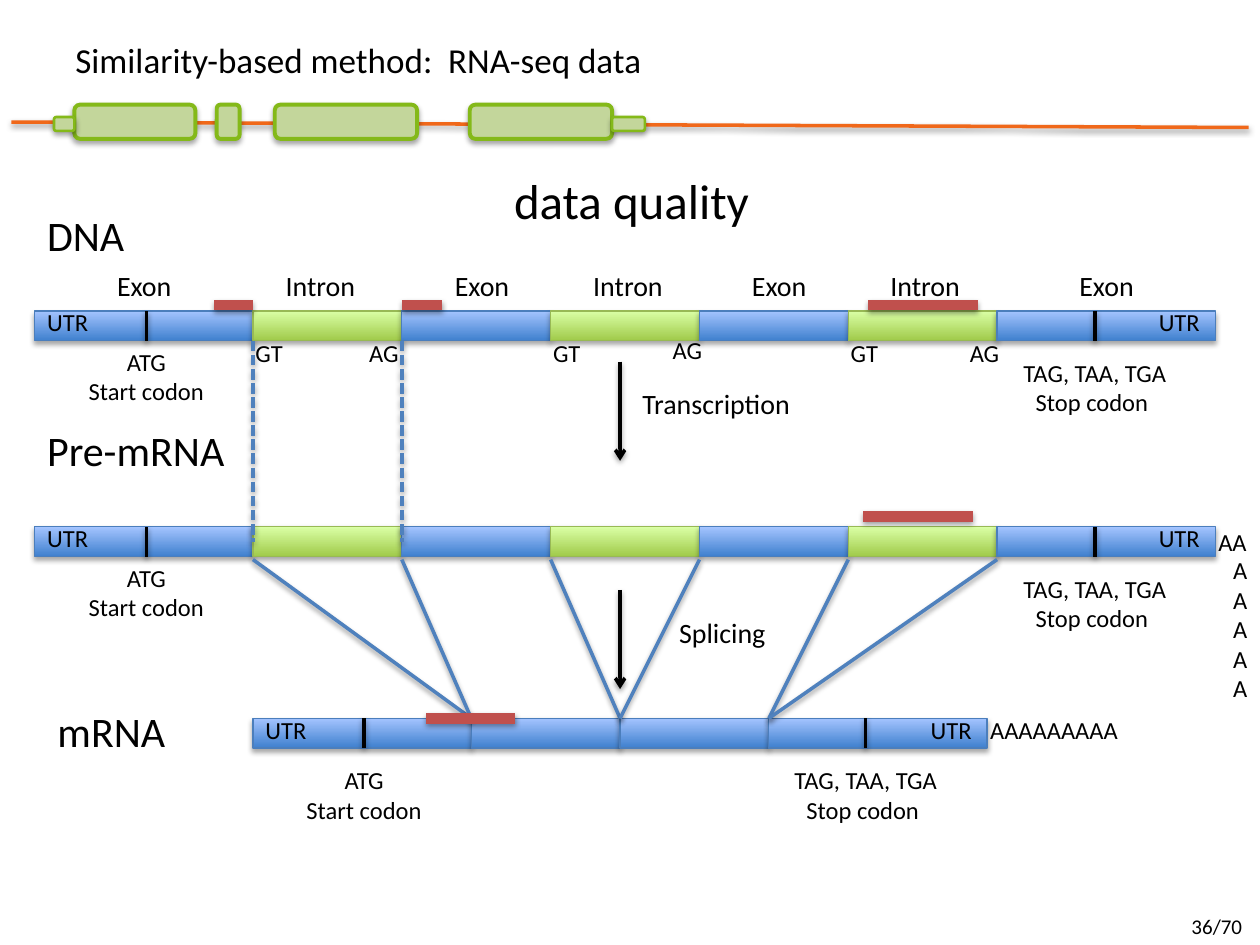
from dataclasses import dataclass
from typing import Optional

import pptx
import pptx.dml.color
import pptx.enum.dml
import pptx.enum.shapes
import pptx.enum.text
import pptx.oxml
import pptx.oxml.ns
import pptx.util
from pptx.util import Cm

FONT = "Calibri"
BLACK, SPLICE_BLUE, READ_RED = "000000", "4F81BD", "C0504D"
BAR_HEIGHT = 0.6
BOUNDARIES = [0.7, 5.1, 8.1, 11.1, 14.1, 17.1, 20.1, 24.5]
JOINTS = [5.1, 9.5, 12.5, 15.5, 19.9]
DNA_TOP, PRE_TOP, MRNA_TOP = 6.27, 10.62, 14.48


@dataclass(frozen=True)
class SegmentStyle:
    bottom: str
    top: str
    outline: str


EXON = SegmentStyle("3F80CE", "A4C4FF", "4B7EBC")
INTRON = SegmentStyle("A0CA4A", "DAFFA5", "98B955")


@dataclass(frozen=True)
class Strand:
    """A bar of segments; all positions are in centimetres."""
    top: float
    edges: list[float]
    styles: list[SegmentStyle]
    start: float
    stop: float
    start_gap: float


@dataclass(frozen=True)
class Label:
    text: str
    left: float
    top: float
    width: float
    size: int
    centred: bool = False
    wrap: bool = False


@dataclass(frozen=True)
class Line:
    x1: float
    y1: float
    x2: float
    y2: float
    color: str = BLACK
    width: float = 2
    dash: Optional[pptx.enum.dml.MSO_LINE] = None
    arrow: bool = False


@dataclass(frozen=True)
class GeneBox:
    left: float
    top: float
    width: float
    height: float
    outline: float


def rgb(color: str) -> pptx.dml.color.RGBColor:
    return pptx.dml.color.RGBColor.from_string(color)


def add_shadow(shape, distance: float = 1.8, opacity: int = 35) -> None:
    """Append a downward shadow; call it once the line is set."""
    shape.element.spPr.append(pptx.oxml.parse_xml(
        f'<a:effectLst {pptx.oxml.ns.nsdecls("a")}>'
        f'<a:outerShdw blurRad="{int(pptx.util.Pt(3.1))}" dist="{int(pptx.util.Pt(distance))}" '
        f'dir="5400000" rotWithShape="0"><a:srgbClr val="{BLACK}">'
        f'<a:alpha val="{opacity * 1000}"/></a:srgbClr></a:outerShdw></a:effectLst>'))


def draw_line(slide, line: Line) -> None:
    connector = slide.shapes.add_connector(
        pptx.enum.shapes.MSO_CONNECTOR.STRAIGHT,
        Cm(line.x1), Cm(line.y1), Cm(line.x2), Cm(line.y2))
    connector.line.color.rgb = rgb(line.color)
    connector.line.width = pptx.util.Pt(line.width)
    if line.dash:
        connector.line.dash_style = line.dash
    if line.arrow:
        outline = connector.element.spPr.find(pptx.oxml.ns.qn("a:ln"))
        outline.append(pptx.oxml.parse_xml(
            f'<a:tailEnd {pptx.oxml.ns.nsdecls("a")} type="arrow"/>'))
    add_shadow(connector, 1.6, 38)


def draw_label(slide, label: Label) -> None:
    lines = label.text.split("\n")
    height = 0.25 + 0.043 * label.size * len(lines)
    box = slide.shapes.add_textbox(Cm(label.left), Cm(label.top), Cm(label.width), Cm(height))
    box.text_frame.word_wrap = label.wrap
    box.text_frame.text = label.text
    font_format = {"name": FONT, "size": pptx.util.Pt(label.size)}
    for paragraph in box.text_frame.paragraphs:
        if label.centred:
            paragraph.alignment = pptx.enum.text.PP_ALIGN.CENTER
        for name, value in font_format.items():
            setattr(paragraph.font, name, value)
        paragraph.font.color.rgb = rgb(BLACK)


def draw_gene_box(slide, box: GeneBox) -> None:
    shape = slide.shapes.add_shape(
        pptx.enum.shapes.MSO_SHAPE.ROUNDED_RECTANGLE,
        Cm(box.left), Cm(box.top), Cm(box.width), Cm(box.height))
    shape.fill.solid()
    shape.fill.fore_color.rgb = rgb("C3D69B")
    shape.line.color.rgb = rgb("84B919")
    shape.line.width = pptx.util.Pt(box.outline)
    add_shadow(shape)


def draw_segment(slide, left: float, right: float, top: float, style: SegmentStyle) -> None:
    shape = slide.shapes.add_shape(
        pptx.enum.shapes.MSO_SHAPE.RECTANGLE,
        Cm(left), Cm(top), Cm(right - left), Cm(BAR_HEIGHT))
    shape.fill.gradient()
    shape.fill.gradient_angle = 90
    for stop, color, position in zip(shape.fill.gradient_stops, (style.bottom, style.top), (0, 1)):
        stop.color.rgb = rgb(color)
        stop.position = position
    shape.line.color.rgb = rgb(style.outline)
    shape.line.width = pptx.util.Pt(0.75)
    add_shadow(shape)


def draw_strand(slide, strand: Strand) -> None:
    """Draw the segments, the UTR labels and the codon marks of a strand."""
    for left, right, style in zip(strand.edges, strand.edges[1:], strand.styles):
        draw_segment(slide, left, right, strand.top, style)
    for left in (strand.edges[0], strand.edges[-1] - 1.39):
        draw_label(slide, Label("UTR", left, strand.top - 0.2, 1.35, 14))
    codons = [("ATG\nStart codon", strand.start, strand.start_gap, 2.87),
              ("TAG, TAA, TGA\nStop codon ", strand.stop, 0.82, 3.5)]
    for text, x, gap, width in codons:
        draw_line(slide, Line(x, strand.top, x, strand.top + BAR_HEIGHT))
        draw_label(slide, Label(text, x - width / 2, strand.top + gap, width, 14, centred=True))


def main() -> None:
    presentation = pptx.Presentation()
    presentation.slide_width, presentation.slide_height = Cm(25.4), Cm(19.05)
    slide = presentation.slides.add_slide(presentation.slide_layouts[6])

    draw_line(slide, Line(0.23, 2.46, 25.17, 2.57, "F0681A"))
    for left, width in ((1.5, 2.44), (4.37, 0.46), (5.54, 2.87), (9.47, 2.87)):
        draw_gene_box(slide, GeneBox(left, 2.11, width, 0.69, 2.25))
    for left, width in ((12.34, 0.66), (1.09, 0.41)):
        draw_gene_box(slide, GeneBox(left, 2.36, width, 0.28, 1.5))

    alternating = [EXON, INTRON] * 3 + [EXON]
    for strand in (Strand(DNA_TOP, BOUNDARIES, alternating, 2.95, 22.07, 0.6),
                   Strand(PRE_TOP, BOUNDARIES, alternating, 2.95, 22.07, 0.6),
                   Strand(MRNA_TOP, JOINTS, [EXON] * 4, 7.34, 17.45, 0.82)):
        draw_strand(slide, strand)

    for index, x in enumerate(BOUNDARIES[1:-1]):
        draw_line(slide, Line(x, 11.28, JOINTS[1 + index // 2], MRNA_TOP, SPLICE_BLUE))
    for x in BOUNDARIES[1:3]:
        draw_line(slide, Line(x, 6.87, x, 10.92, SPLICE_BLUE,
                              dash=pptx.enum.dml.MSO_LINE.SQUARE_DOT))
    for top in (7.29, 11.89):
        draw_line(slide, Line(12.5, top, 12.5, top + 2, arrow=True))
    for left, right, y in ((8.59, 10.39, MRNA_TOP), (4.32, 5.1, 6.15), (8.1, 8.92, 6.15),
                           (17.4, 19.61, 10.41), (17.5, 19.71, 6.15)):
        draw_line(slide, Line(left, y, right, y, READ_RED, 6))

    labels = [
        Label("Similarity-based method:  RNA-seq data", 1.27, 0.66, 11.99, 20),
        Label("data quality", 1.3, 3.32, 22.86, 28, centred=True, wrap=True),
        Label("DNA", 0.7, 4.09, 2.08, 24),
        Label("Pre-mRNA", 0.7, 8.43, 4.14, 24),
        Label("mRNA", 0.91, 14.1, 2.72, 24),
        Label("Transcription", 12.7, 7.67, 3.58, 16),
        Label("Splicing", 13.44, 12.29, 2.29, 16),
        Label("AA", 24.31, 10.49, 1.09, 14),
        Label("AAAAA", 24.61, 11.07, 0.61, 14, wrap=True),
        Label("AAAAAAAAA", 19.71, 14.28, 3.12, 14),
        Label("36/70", 23.77, 18.29, 1.63, 12),
    ]
    labels += [Label("Exon", left, 5.28, 1.65, 16) for left in (2.11, 8.92, 14.91, 21.51)]
    labels += [Label("Intron", left, 5.28, 1.96, 16) for left in (5.51, 11.71, 17.7)]
    labels += [Label("GT", x - 0.2, 6.68, 1.09, 14) for x in BOUNDARIES[1:-1:2]]
    labels += [Label("AG", left, top, 1.12, 14)
               for left, top in ((7.19, 6.68), (13.31, 6.63), (19.3, 6.68))]
    for label in labels:
        draw_label(slide, label)

    presentation.save("out.pptx")


if __name__ == "__main__":
    main()
